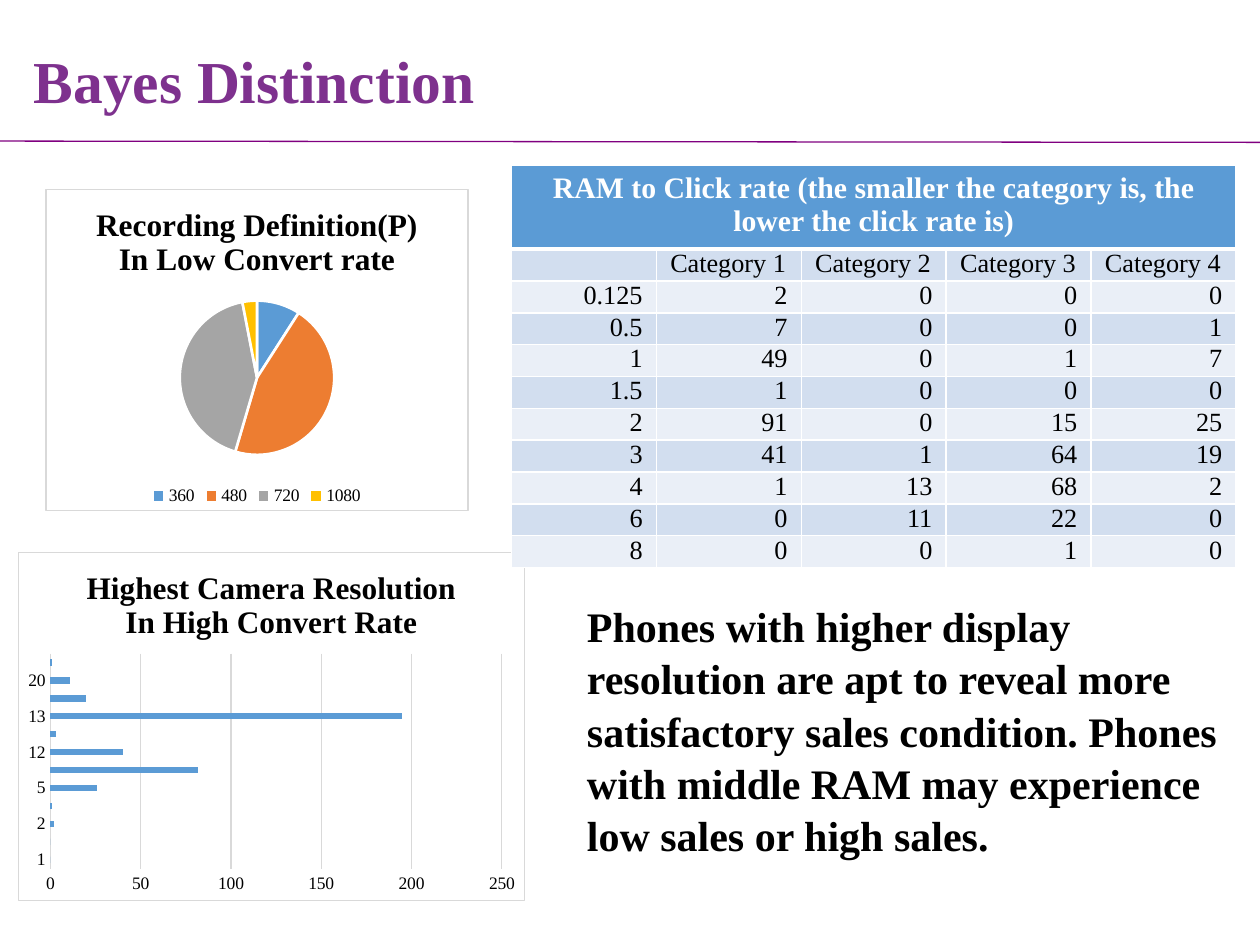
from dataclasses import dataclass

from lxml.etree import SubElement
from pptx import Presentation
from pptx.chart.chart import Chart
from pptx.chart.data import CategoryChartData
from pptx.dml.color import RGBColor
from pptx.enum.chart import XL_CHART_TYPE as ChartType
from pptx.enum.chart import XL_LEGEND_POSITION as LegendPosition
from pptx.enum.chart import XL_TICK_MARK as TickMark
from pptx.enum.shapes import MSO_CONNECTOR as Connector
from pptx.enum.text import PP_ALIGN as Align
from pptx.oxml import parse_xml
from pptx.oxml.ns import nsdecls, qn
from pptx.slide import Slide
from pptx.table import _Cell as Cell
from pptx.text.text import Font
from pptx.util import Inches, Pt


@dataclass(frozen=True)
class Theme:
    font: str = "Times New Roman"
    black: str = "000000"
    white: str = "FFFFFF"
    heading: str = "7E318E"
    rule: str = "800080"
    grid: str = "D9D9D9"
    accent: str = "5B9BD5"
    slices: tuple = ("5B9BD5", "ED7D31", "A5A5A5", "FFC000")
    bands: tuple = ("D2DEEF", "EAEFF7")
    heading_size: int = 34
    body_size: int = 24
    chart_title_size: int = 18
    table_title_size: int = 17
    table_size: int = 15
    chart_size: int = 10


@dataclass(frozen=True)
class Box:
    left: float
    top: float
    width: float
    height: float

    def lengths(self) -> tuple:
        return tuple(map(Inches, (self.left, self.top, self.width, self.height)))


@dataclass(frozen=True)
class ChartPanel:
    kind: ChartType
    box: Box
    title: tuple
    categories: tuple
    values: tuple


THEME = Theme()

DEFINITION = ChartPanel(
    ChartType.PIE, Box(0.36, 1.5, 3.36, 2.56),
    ("Recording Definition(P)", "In Low Convert rate"),
    ("360", "480", "720", "1080"), (9, 45, 42, 3))
RESOLUTION = ChartPanel(
    ChartType.BAR_CLUSTERED, Box(0.14, 4.38, 4.03, 2.77),
    ("Highest Camera Resolution", "In High Convert Rate"),
    ("1", "1.3", "2", "4", "5", "8", "12", "12.1", "13", "16", "20", "21"),
    (0, 0, 2, 1, 26, 82, 40, 3, 195, 20, 11, 1))

RAM_TITLE = "RAM to Click rate (the smaller the category is, the lower the click rate is)"
RAM_ROWS = (
    ("", "Category 1", "Category 2", "Category 3", "Category 4"),
    ("0.125", 2, 0, 0, 0),
    ("0.5", 7, 0, 0, 1),
    ("1", 49, 0, 1, 7),
    ("1.5", 1, 0, 0, 0),
    ("2", 91, 0, 15, 25),
    ("3", 41, 1, 64, 19),
    ("4", 1, 13, 68, 2),
    ("6", 0, 11, 22, 0),
    ("8", 0, 0, 1, 0),
)
CONCLUSION = ("Phones with higher display resolution are apt to reveal more satisfactory "
              "sales condition. Phones with middle RAM may experience low sales or high sales.")


def rgb(color: str) -> RGBColor:
    return RGBColor.from_string(color)


def style_font(font: Font, size: int, color: str = THEME.black, bold: bool = False) -> None:
    font.name, font.size, font.bold = THEME.font, Pt(size), bold
    font.color.rgb = rgb(color)


def add_text(slide: Slide, box: Box, text: str, size: int, color: str, spacing: float) -> None:
    frame = slide.shapes.add_textbox(*box.lengths()).text_frame
    frame.word_wrap = True
    paragraph = frame.paragraphs[0]
    paragraph.text = text
    paragraph.line_spacing = spacing
    style_font(paragraph.font, size, color, True)


def add_rule(slide: Slide) -> None:
    rule = slide.shapes.add_connector(
        Connector.STRAIGHT, Inches(0), Inches(1.12), Inches(10), Inches(1.13))
    rule.line.color.rgb = rgb(THEME.rule)
    rule.line.width = Pt(0.75)
    SubElement(rule._element.spPr, qn("a:effectLst"))


def add_chart(slide: Slide, panel: ChartPanel) -> Chart:
    data = CategoryChartData()
    data.categories = panel.categories
    data.add_series("Series 1", panel.values)
    chart = slide.shapes.add_chart(panel.kind, *panel.box.lengths(), data).chart
    style_font(chart.font, THEME.chart_size)
    chart.has_title = True
    title = chart.chart_title.text_frame
    title.text = "\n".join(panel.title)
    for paragraph in title.paragraphs:
        style_font(paragraph.font, THEME.chart_title_size, bold=True)
        for run in paragraph.runs:
            style_font(run.font, THEME.chart_title_size, bold=True)
    # White panel with a thin grey frame, placed before the text properties
    chart._chartSpace.find(qn("c:txPr")).addprevious(parse_xml(
        f'<c:spPr {nsdecls("c", "a")}>'
        f'<a:solidFill><a:srgbClr val="{THEME.white}"/></a:solidFill>'
        f'<a:ln w="{Pt(0.75)}"><a:solidFill><a:srgbClr val="{THEME.grid}"/></a:solidFill></a:ln>'
        '</c:spPr>'))
    return chart


def add_definition_pie(slide: Slide) -> None:
    chart = add_chart(slide, DEFINITION)
    chart.has_legend = True
    chart.legend.position = LegendPosition.BOTTOM
    chart.legend.include_in_layout = False
    for index, color in enumerate(THEME.slices):
        piece = chart.plots[0].series[0].points[index].format
        piece.fill.solid()
        piece.fill.fore_color.rgb = rgb(color)
        piece.line.color.rgb = rgb(THEME.white)
        piece.line.width = Pt(1.5)


def add_resolution_bars(slide: Slide) -> None:
    chart = add_chart(slide, RESOLUTION)
    chart.has_legend = False
    plot = chart.plots[0]
    plot.gap_width, plot.vary_by_categories = 182, False
    bars = plot.series[0].format.fill
    bars.solid()
    bars.fore_color.rgb = rgb(THEME.accent)
    for axis in (chart.category_axis, chart.value_axis):
        axis.major_tick_mark = axis.minor_tick_mark = TickMark.NONE
    chart.value_axis.format.line.fill.background()
    for line in (chart.category_axis.format.line,
                 chart.value_axis.major_gridlines.format.line):
        line.color.rgb = rgb(THEME.grid)
        line.width = Pt(0.75)


def style_cell(cell: Cell, fill: str, bottom: float = 1) -> None:
    properties = cell._tc.get_or_add_tcPr()
    for side, width in (("L", 1), ("R", 1), ("T", 1), ("B", bottom)):
        properties.append(parse_xml(
            f'<a:ln{side} {nsdecls("a")} w="{Pt(width)}"><a:solidFill>'
            f'<a:srgbClr val="{THEME.white}"/></a:solidFill></a:ln{side}>'))
    cell.fill.solid()
    cell.fill.fore_color.rgb = rgb(fill)


def add_ram_table(slide: Slide) -> None:
    box, title_height = Box(4.06, 1.31, 5.75, 3.19), 0.66
    columns = len(RAM_ROWS[0])
    table = slide.shapes.add_table(len(RAM_ROWS) + 1, columns, *box.lengths()).table
    table.first_row = table.horz_banding = False

    # Title row across all columns
    table.rows[0].height = Inches(title_height)
    for cell in table.rows[0].cells:
        style_cell(cell, THEME.accent, bottom=3)
    table.cell(0, 0).merge(table.cell(0, columns - 1))
    title = table.cell(0, 0).text_frame.paragraphs[0]
    title.text, title.alignment = RAM_TITLE, Align.CENTER
    style_font(title.font, THEME.table_title_size, THEME.white, True)

    # Category names, then one row per RAM size
    for index, values in enumerate(RAM_ROWS):
        row = table.rows[index + 1]
        row.height = Inches((box.height - title_height) / len(RAM_ROWS))
        for cell, value in zip(row.cells, values):
            style_cell(cell, THEME.bands[index % 2])
            cell.margin_left = cell.margin_right = Inches(0.11)
            cell.margin_top = cell.margin_bottom = 0
            paragraph = cell.text_frame.paragraphs[0]
            paragraph.text = str(value)
            paragraph.alignment = Align.RIGHT if index else Align.LEFT
            style_font(paragraph.font, THEME.table_size)
            if value == "":
                SubElement(paragraph._p, qn("a:endParaRPr"), sz=str(THEME.table_size * 100))


def main() -> None:
    deck = Presentation()
    deck.slide_width, deck.slide_height = Inches(10), Inches(7.5)
    slide = deck.slides.add_slide(deck.slide_layouts[6])
    add_rule(slide)
    add_definition_pie(slide)
    add_resolution_bars(slide)
    add_text(slide, Box(4.56, 4.7, 5.29, 2.12), CONCLUSION,
             THEME.body_size, THEME.black, 1.04)
    add_ram_table(slide)
    add_text(slide, Box(0.17, 0.02, 6.79, 0.86), "Bayes Distinction",
             THEME.heading_size, THEME.heading, 1.5)
    deck.save("out.pptx")


if __name__ == "__main__":
    main()
